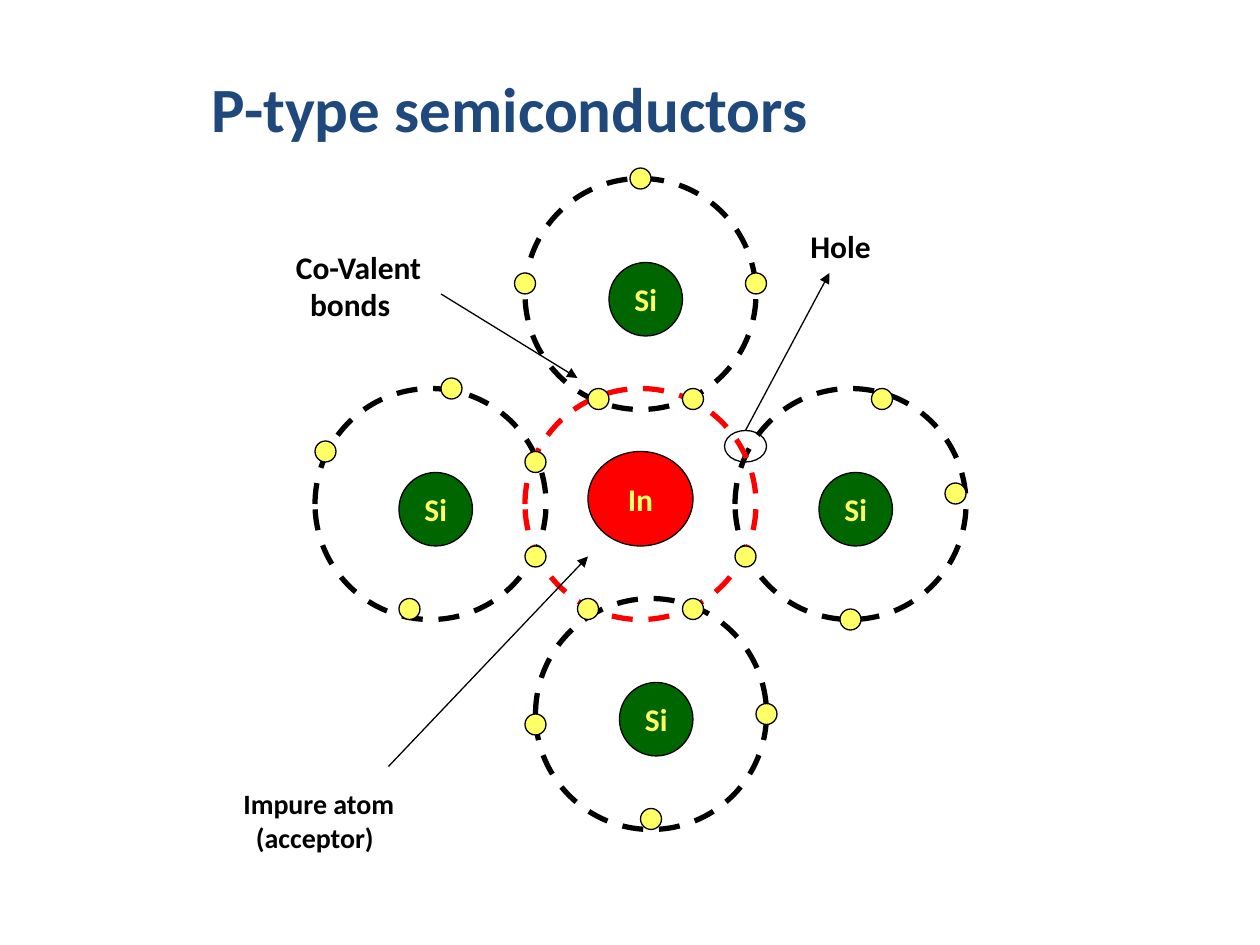
from pptx import Presentation
from pptx.dml.color import RGBColor
from pptx.enum import dml, shapes, text
from pptx.oxml import ns, xmlchemy
from pptx.util import Pt

COLORS = {
    "silicon": "006600",
    "indium": "FF0000",
    "electron": "FFFF66",
    "ink": "000000",
    "title": "1F497D",
}
FONT = "Calibri"
SHELL_SIZE = 132
SILICON_SIZE = 42
SILICON_OFFSET = 48
ELECTRON_SIZE = 12

# Left and top of each shell and electron
SILICON_SHELLS = [(306, 342), (300, 102), (420, 222), (180, 222)]
INDIUM_SHELL = (300, 222)
ELECTRONS = [
    # Shared in the covalent bonds
    (336, 222), (390, 222), (300, 258), (300, 312),
    (330, 342), (390, 342), (420, 312),
    # Outer electrons of the top, left, right and bottom atoms
    (360, 96), (294, 156), (426, 156),
    (252, 216), (180, 252), (228, 342),
    (498, 222), (540, 276), (480, 348),
    (300, 408), (432, 402), (366, 462),
]


def rgb(name):
    return RGBColor.from_string(COLORS[name])


def add_run(paragraph, content, size, color):
    run = paragraph.add_run()
    run.text = content
    run.font.name = FONT
    run.font.size = Pt(size)
    run.font.bold = True
    run.font.color.rgb = rgb(color)


def add_ellipse(slide, left, top, width, height, fill=None, line="ink", line_width=0.75):
    shape = slide.shapes.add_shape(
        shapes.MSO_SHAPE.OVAL, Pt(left), Pt(top), Pt(width), Pt(height))
    shape.shadow.inherit = False
    if fill:
        shape.fill.solid()
        shape.fill.fore_color.rgb = rgb(fill)
    else:
        shape.fill.background()
    shape.line.color.rgb = rgb(line)
    shape.line.width = Pt(line_width)
    return shape


def add_nucleus(slide, left, top, width, height, symbol, fill):
    frame = add_ellipse(slide, left, top, width, height, fill).text_frame
    frame.word_wrap = False
    frame.vertical_anchor = text.MSO_ANCHOR.MIDDLE
    paragraph = frame.paragraphs[0]
    paragraph.alignment = text.PP_ALIGN.CENTER
    add_run(paragraph, symbol, 18, "electron")


def add_shell(slide, left, top, line="ink"):
    shell = add_ellipse(slide, left, top, SHELL_SIZE, SHELL_SIZE, line=line, line_width=3)
    shell.line.dash_style = dml.MSO_LINE.DASH


def add_label(slide, left, top, width, height, lines, size, color="ink", indent=0):
    """Write a label whose second line is indented."""
    frame = slide.shapes.add_textbox(Pt(left), Pt(top), Pt(width), Pt(height)).text_frame
    frame.word_wrap = False
    frame.auto_size = text.MSO_AUTO_SIZE.SHAPE_TO_FIT_TEXT
    for index, content in enumerate(lines):
        paragraph = frame.add_paragraph() if index else frame.paragraphs[0]
        if index:
            paragraph._p.get_or_add_pPr().set("marL", str(Pt(indent)))
        add_run(paragraph, content, size, color)


def add_arrow(slide, start, end):
    connector = slide.shapes.add_connector(
        shapes.MSO_CONNECTOR.STRAIGHT, *(Pt(value) for value in start + end))
    connector.line.color.rgb = rgb("ink")
    connector.line.width = Pt(0.75)
    head = xmlchemy.OxmlElement("a:tailEnd")
    head.set("type", "triangle")
    connector.line._get_or_add_ln().append(head)
    properties = connector._element.find(ns.qn("p:spPr"))
    properties.append(xmlchemy.OxmlElement("a:effectLst"))
    return connector


def main():
    presentation = Presentation()
    presentation.slide_width, presentation.slide_height = Pt(720), Pt(540)
    slide = presentation.slides.add_slide(presentation.slide_layouts[6])

    # Atoms: four silicon neighbours around one indium atom
    for left, top in SILICON_SHELLS:
        add_nucleus(slide, left + SILICON_OFFSET, top + SILICON_OFFSET,
                    SILICON_SIZE, SILICON_SIZE, "Si", "silicon")
        add_shell(slide, left, top)
    add_nucleus(slide, 336, 258, 60, 54, "In", "indium")
    add_shell(slide, *INDIUM_SHELL, line="indium")

    # Electrons and the hole
    for left, top in ELECTRONS:
        add_ellipse(slide, left, top, ELECTRON_SIZE, ELECTRON_SIZE, "electron")
    hole = add_ellipse(slide, 414, 246, 24, 18)

    # Labels and their arrows
    add_label(slide, 456, 126, 53, 29, ["Hole"], 18)
    add_label(slide, 162, 138, 104, 50.4, ["Co-Valent", "bonds"], 18, indent=8.1)
    add_label(slide, 132, 446, 111, 46, ["Impure atom", "(acceptor)"], 16, indent=7.2)
    add_arrow(slide, (252, 168), (330, 216))
    add_arrow(slide, (426, 246), (474, 156)).begin_connect(hole, 0)
    add_arrow(slide, (222, 438), (336, 318))

    # Title
    add_label(slide, 114, 36, 367, 51, ["P-type semiconductors"], 36, "title")

    presentation.save("out.pptx")


if __name__ == "__main__":
    main()
